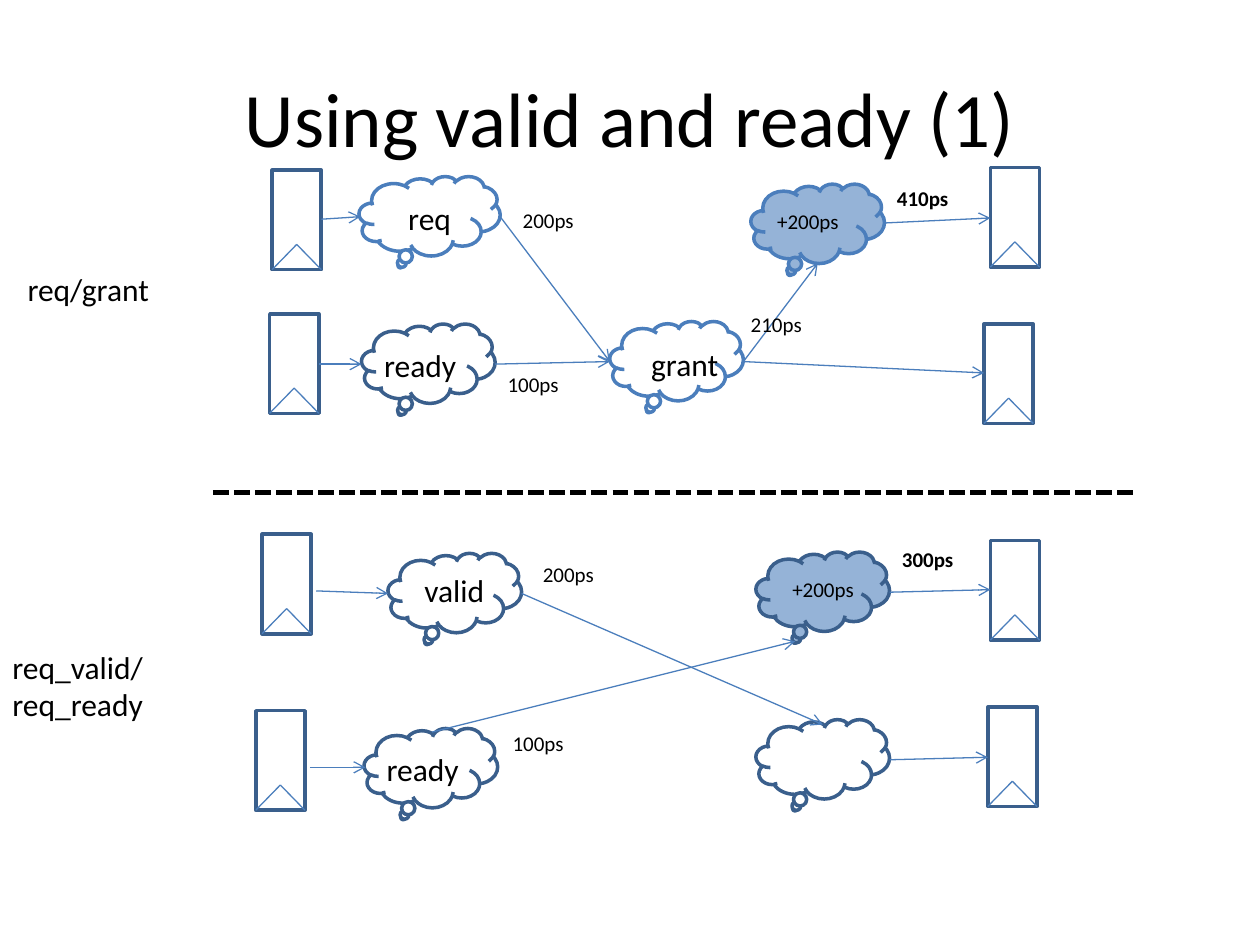
from pptx import Presentation
from pptx.dml.color import RGBColor
from pptx.enum.dml import MSO_LINE
from pptx.enum.shapes import MSO_CONNECTOR, MSO_SHAPE
from pptx.enum.text import MSO_ANCHOR, MSO_AUTO_SIZE, PP_ALIGN
from pptx.oxml.ns import qn
from pptx.util import Cm, Pt
from lxml import etree

STRAIGHT = MSO_CONNECTOR.STRAIGHT
RECTANGLE, CLOUD = MSO_SHAPE.RECTANGLE, MSO_SHAPE.CLOUD_CALLOUT
DASHED = MSO_LINE.SQUARE_DOT
LEFT, CENTER = PP_ALIGN.LEFT, PP_ALIGN.CENTER
MIDDLE = MSO_ANCHOR.MIDDLE
GROW = MSO_AUTO_SIZE.SHAPE_TO_FIT_TEXT

BLACK = RGBColor(0x00, 0x00, 0x00)
WHITE = RGBColor(0xFF, 0xFF, 0xFF)
BLUE = RGBColor(0x4B, 0x7E, 0xBC)
NAVY = RGBColor(0x3A, 0x5F, 0x8C)
LIGHT_BLUE = RGBColor(0x95, 0xB3, 0xD7)

CM_PER_INCH = 2.54


def lengths(*inches):
    return [Cm(value * CM_PER_INCH) for value in inches]


class CircuitSlide:
    font = "Calibri"
    register_size = (0.39, 0.79)
    clock_height = 0.2
    cloud_size = (1.06, 0.63)

    def __init__(self, deck):
        self.slide = deck.slides.add_slide(deck.slide_layouts[5])
        self.shapes = self.slide.shapes

    def set_text(self, frame, lines, size, bold=False, align=LEFT):
        frame.text = "\n".join(lines)
        for paragraph in frame.paragraphs:
            paragraph.alignment = align
            font = paragraph.font
            font.name, font.size, font.bold = self.font, Pt(size), bold
            font.color.rgb = BLACK

    def title(self, text):
        heading = self.shapes.title
        heading.left, heading.top, heading.width, heading.height = lengths(0.5, 0.3, 9, 1.25)
        heading.text_frame.vertical_anchor = MIDDLE
        self.set_text(heading.text_frame, [text], 44, align=CENTER)

    def outline(self, parent, kind, box, fill, color):
        shape = parent.add_shape(kind, *lengths(*box))
        shape.shadow.inherit = False
        shape.fill.solid()
        shape.fill.fore_color.rgb = fill
        shape.line.color.rgb = color
        shape.line.width = Pt(2)

    def line(self, start, end, parent=None, color=BLUE, width=0.75, arrow=False, dash=None):
        connector = (parent or self.shapes).add_connector(STRAIGHT, *lengths(*start, *end))
        connector.line.color.rgb = color
        connector.line.width = Pt(width)
        if dash:
            connector.line.dash_style = dash
        properties = connector._element.spPr
        if arrow:
            etree.SubElement(properties.find(qn("a:ln")), qn("a:tailEnd"), type="arrow")
        etree.SubElement(properties, qn("a:effectLst"))

    def register(self, left, top):
        """A flip-flop: a box with a clock wedge at its foot."""
        parts = self.shapes.add_group_shape().shapes
        width, height = self.register_size
        self.outline(parts, RECTANGLE, (left, top, width, height), WHITE, NAVY)
        bottom = top + height
        apex = (left + width / 2, bottom - self.clock_height)
        for corner in (left, left + width):
            self.line((corner, bottom), apex, parts)

    def cloud(self, left, top, fill=WHITE, color=NAVY, width=None):
        default_width, height = self.cloud_size
        self.outline(self.shapes, CLOUD, (left, top, width or default_width, height), fill, color)

    def label(self, lines, box, size=18, bold=False, align=LEFT):
        frame = self.shapes.add_textbox(*lengths(*box)).text_frame
        frame.word_wrap = True
        frame.auto_size = GROW
        self.set_text(frame, lines, size, bold, align)

    def delay(self, text, left, top, width=0.67, bold=False):
        self.label([text], (left, top, width, 0.3), 12, bold)


deck = Presentation()
deck.slide_width, deck.slide_height = lengths(10, 7.5)
circuit = CircuitSlide(deck)
circuit.title("Using valid and ready (1)")

# Registers: req/grant, then req_valid/req_ready
for position in [(2.16, 1.35), (7.86, 1.33), (2.14, 2.49), (7.81, 2.57),
                 (2.08, 4.24), (7.86, 4.29), (2.03, 5.64), (7.84, 5.61)]:
    circuit.register(*position)

# Logic clouds of req/grant
circuit.cloud(2.85, 1.4, color=BLUE, width=1.12)
circuit.cloud(2.87, 2.57)
circuit.cloud(4.84, 2.55, color=BLUE)
circuit.cloud(5.96, 1.46, LIGHT_BLUE, BLUE)

# Logic clouds of req_valid/req_ready
circuit.cloud(3.08, 4.39)
circuit.cloud(2.89, 5.78)
circuit.cloud(6, 4.38, LIGHT_BLUE)
circuit.cloud(6, 5.71)

# Signal paths
paths = [
    ((2.55, 1.74), (2.86, 1.72)),
    ((2.53, 2.89), (2.87, 2.89)),
    ((3.97, 1.72), (4.84, 2.87)),
    ((3.93, 2.89), (4.84, 2.87)),
    ((5.9, 2.87), (6.49, 2.09)),
    ((5.9, 2.87), (7.81, 2.96)),
    ((7.02, 1.77), (7.86, 1.73)),
    ((2.51, 4.69), (3.08, 4.71)),
    ((2.46, 6.09), (2.9, 6.09)),
    ((4.14, 4.71), (6.53, 5.75)),
    ((3.43, 5.81), (6.31, 5.09)),
    ((7.06, 4.7), (7.86, 4.68)),
    ((7.06, 6.03), (7.84, 6.01)),
]
for start, end in paths:
    circuit.line(start, end, arrow=True)

# Divider between the two schemes
circuit.line((1.69, 3.91), (9.02, 3.91), color=BLACK, width=3, dash=DASHED)

# Scheme and signal names
circuit.label(["req/grant"], (0.12, 2.09, 1.42, 0.4))
circuit.label(["req_valid/", "req_ready"], (0, 5.09, 2.77, 0.71))
circuit.label(["req"], (3.08, 1.53, 0.66, 0.4), align=CENTER)
for name, left, top, width in [("ready", 2.95, 2.7, 0.98), ("grant", 5.07, 2.69, 0.74),
                               ("valid", 3.27, 4.48, 0.87), ("ready", 2.97, 5.9, 0.99)]:
    circuit.label([name], (left, top, width, 0.4))

# Delays along the paths, with the totals in bold
for text, left, top in [("200ps", 4.05, 1.6), ("100ps", 3.93, 2.9), ("210ps", 5.86, 2.42),
                        ("200ps", 4.21, 4.41), ("100ps", 3.97, 5.75)]:
    circuit.delay(text, left, top)
for text, left, top in [("410ps", 7.02, 1.42), ("300ps", 7.06, 4.29)]:
    circuit.delay(text, left, top, bold=True)
for left, top in [(6.07, 1.61), (6.19, 4.53)]:
    circuit.delay("+200ps", left, top, width=0.83)

deck.save("out.pptx")
